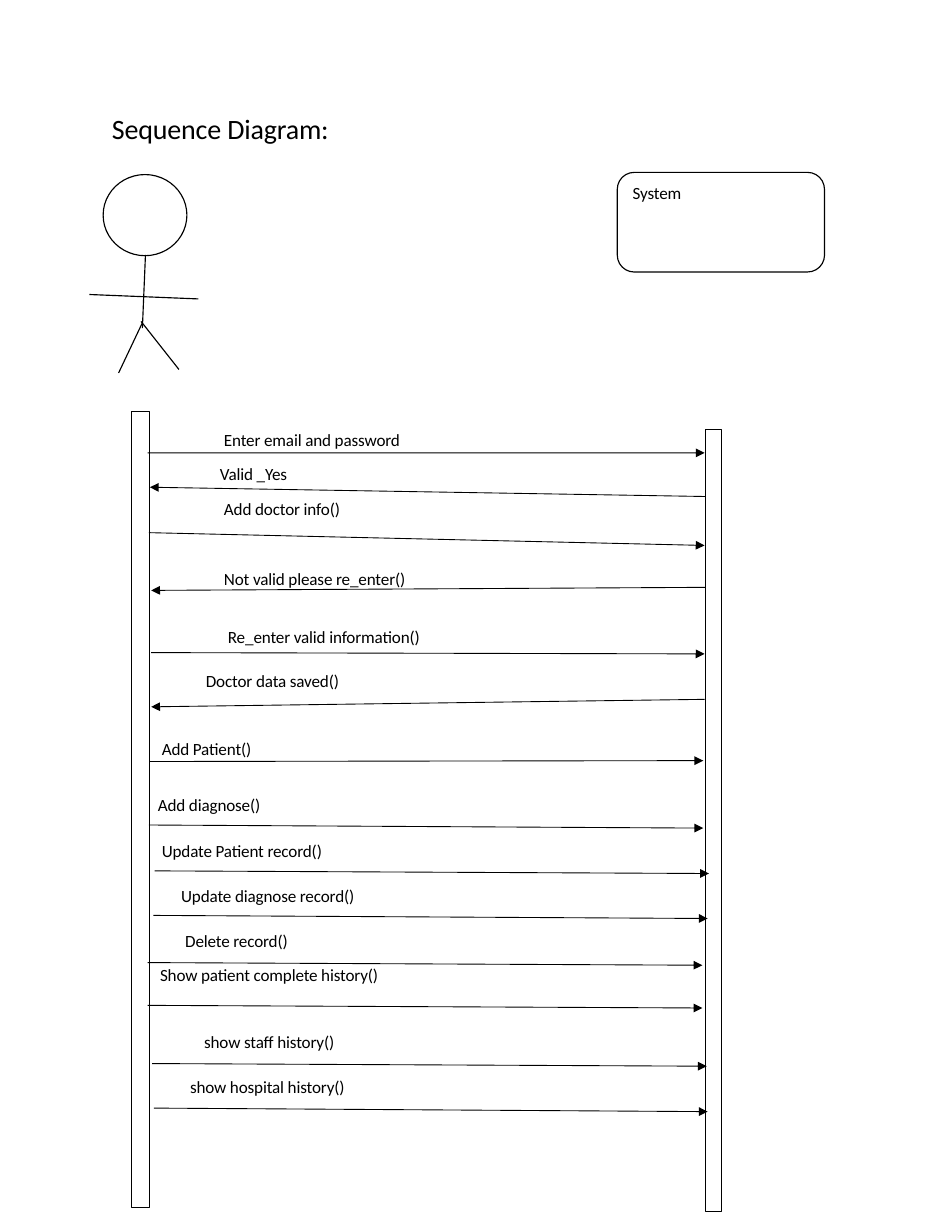
from math import cos, hypot, pi, sin

from pptx import Presentation
from pptx.dml.color import RGBColor
from pptx.enum.shapes import MSO_SHAPE
from pptx.util import Cm, Pt

COLORS = {"ink": "000000"}
INK = RGBColor.from_string(COLORS["ink"])
FONT = "Calibri"
LINE_HEIGHT = 0.47  # one line of 11 pt text, in cm

prs = Presentation()
prs.slide_width, prs.slide_height = Cm(21.59), Cm(27.94)
s = prs.slides.add_slide(prs.slide_layouts[6])


def add_text(x, y, w, h, size, lines):
    """Text box with one paragraph per (text, left, top) in cm."""
    tf = s.shapes.add_textbox(Cm(x), Cm(y), Cm(w), Cm(h)).text_frame
    tf.word_wrap = True
    tf.margin_left = tf.margin_right = tf.margin_bottom = 0
    tf.margin_top = Cm(0.03)
    bottom = None
    for text, left, top in lines:
        p = tf.paragraphs[0] if bottom is None else tf.add_paragraph()
        r = p.add_run()
        r.text = text
        r._r.get_or_add_rPr().set("spc", "-10")
        p.font.name, p.font.size, p.font.color.rgb = FONT, Pt(size), INK
        p._p.get_or_add_pPr().set("marL", str(Cm(left - x)))
        if bottom is not None:
            p.space_before = Pt(round(Cm(top - bottom).pt, 1))
        bottom = top + LINE_HEIGHT


def add_outline(contours, close):
    """One freeform from lists of points in cm."""
    fb = None
    for contour in contours:
        start, *rest = [(Cm(x), Cm(y)) for x, y in contour]
        if fb is None:
            fb = s.shapes.build_freeform(*start)
        else:
            fb.move_to(*start)
        fb.add_line_segments(rest, close=close)
    sp = fb.convert_to_shape()
    sp.shadow.inherit = False
    sp.fill.background()
    sp.line.color.rgb, sp.line.width = INK, Pt(0.75)
    return sp


# Messages: text, its left and top, then the arrow from start to tip
messages = [
    ("Enter email and password", 5.08, 9.74, 3.35, 10.27, 15.98, 10.27),
    ("Valid _Yes", 4.99, 10.53, 16, 11.26, 3.4, 11.05),
    ("Add doctor info()", 5.08, 11.33, 3.38, 12.08, 15.98, 12.37),
    ("Not valid please re_enter()", 5.08, 12.91, 16, 13.32, 3.43, 13.39),
    ("Re_enter valid information()", 5.17, 14.23, 3.43, 14.8, 15.98, 14.83),
    ("Doctor data saved()", 4.67, 15.23, 15.98, 15.86, 3.43, 16.03),
    ("Add Patient()", 3.67, 16.77, 3.4, 17.27, 15.95, 17.25),
    ("Add diagnose()", 3.58, 18.06, 3.38, 18.71, 15.95, 18.78),
    ("Update Patient record()", 3.67, 19.11, 3.51, 19.75, 16.08, 19.81),
    ("Update diagnose record()", 4.11, 20.13, 3.48, 20.76, 16.05, 20.83),
    ("Delete record()", 4.2, 21.15, 3.35, 21.83, 15.93, 21.89),
    ("Show patient complete history()", 3.63, 21.92, 3.35, 22.8, 15.93, 22.86),
    ("show staff history()", 4.63, 23.46, 3.45, 24.12, 16.03, 24.18),
    ("show hospital history()", 4.31, 24.48, 3.49, 25.13, 16.05, 25.21),
]

# Title and message labels
add_text(2.51, 2.49, 5.2, 0.84, 18, [("Sequence Diagram:", 2.54, 2.52)])
add_text(3.56, 9.7, 6.1, 15.29, 11, [m[:3] for m in messages])

# Actor: head, body, arms and legs
head = [(3.29 + 0.95 * cos(i * pi / 24), 4.88 + 0.92 * sin(i * pi / 24)) for i in range(49)]
limbs = [
    [(3.3, 5.78), (3.23, 7.44)],
    [(2.03, 6.68), (4.5, 6.78)],
    [(3.23, 7.32), (2.69, 8.46)],
    [(3.2, 7.29), (4.06, 8.38)],
]
add_outline([head, *limbs], close=False)

# System box and its label
sp = s.shapes.add_shape(MSO_SHAPE.ROUNDED_RECTANGLE, Cm(14), Cm(3.91), Cm(4.7), Cm(2.26))
sp.adjustments[0] = 0.17
sp.shadow.inherit = False
sp.fill.background()
sp.line.color.rgb, sp.line.width = INK, Pt(0.75)
add_text(14.33, 4.11, 1.25, 0.53, 11, [("System", 14.35, 4.14)])

# Lifelines of actor and system
lifelines = [(2.98, 9.33, 3.39, 27.38), (16, 9.74, 16.36, 27.48)]
add_outline(
    [[(x1, y2), (x2, y2), (x2, y1), (x1, y1)] for x1, y1, x2, y2 in lifelines], close=True
)

# Message arrows: thin shafts with solid heads
HEAD, HALF_HEAD, HALF_SHAFT = 0.2, 0.1, 0.01
arrows = []
for *label, x1, y1, x2, y2 in messages:
    length = hypot(x2 - x1, y2 - y1)
    ux, uy = (x2 - x1) / length, (y2 - y1) / length
    neck = length - HEAD
    profile = [
        (0, -HALF_SHAFT), (neck, -HALF_SHAFT), (neck, -HALF_HEAD), (length, 0),
        (neck, HALF_HEAD), (neck, HALF_SHAFT), (0, HALF_SHAFT),
    ]
    arrows.append([(x1 + a * ux - b * uy, y1 + a * uy + b * ux) for a, b in profile])
sp = add_outline(arrows, close=True)
sp.fill.solid()
sp.fill.fore_color.rgb = INK
sp.line.fill.background()

prs.save("out.pptx")
